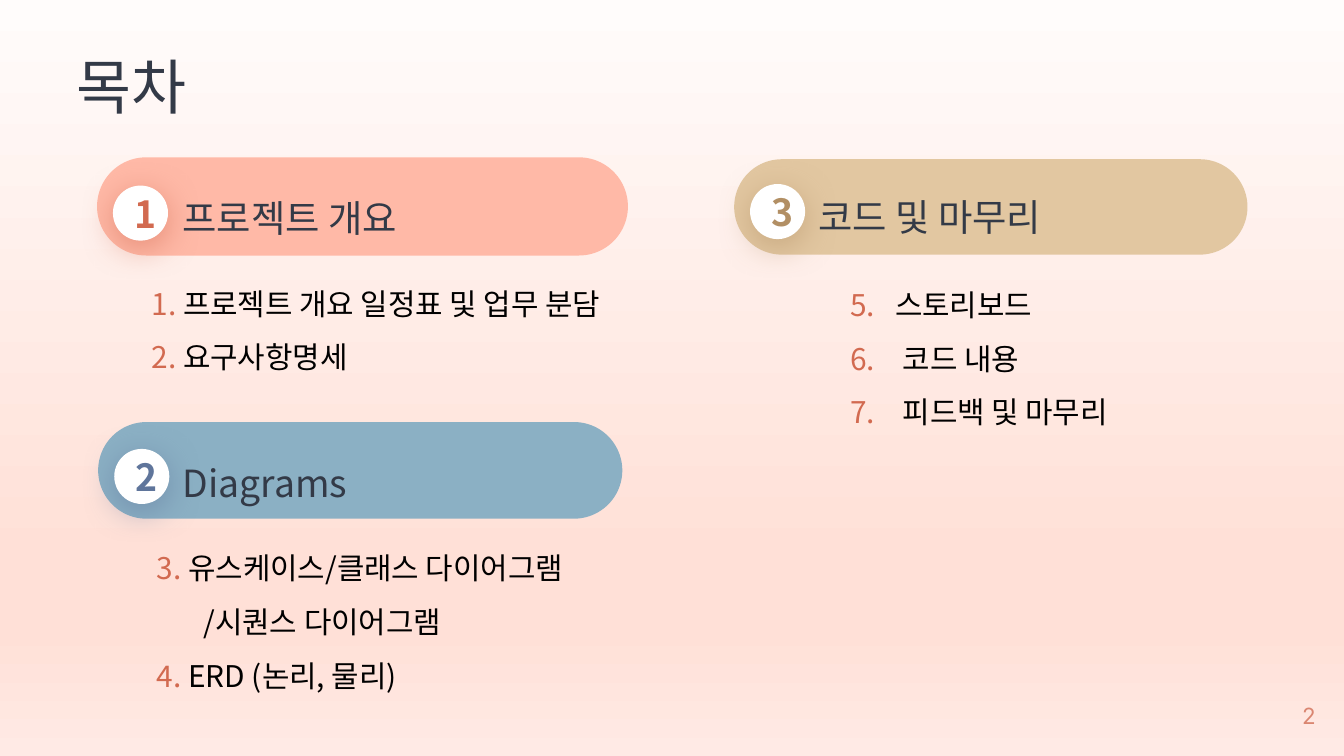
from dataclasses import dataclass
from lxml.etree import SubElement as Sub
from pptx import Presentation
from pptx.dml.color import RGBColor as Rgb
from pptx.enum.shapes import MSO_SHAPE as Kind
from pptx.enum.text import MSO_ANCHOR as Anchor, PP_ALIGN as Align
from pptx.oxml.ns import qn
from pptx.util import Pt


@dataclass(frozen=True)
class Theme:
    font: str = "Noto Sans CJK KR"
    num_font: str = "Inter"
    ink: str = "333A47"
    body: str = "000000"
    mark: str = "D26A50"
    page: str = "DA8671"
    white: str = "FFFFFF"
    back: tuple = ((0, "FFFCFB"), (74, "FFE0D7"), (83, "FFE0D7"), (100, "FFEAE5"))
    title: int = 32
    head: int = 20
    text: int = 16
    small: int = 12


class Deck:
    """Holds the theme, the current slide and the group being filled."""

    def __init__(self, theme):
        self.theme = theme
        self.prs = Presentation()
        self.prs.slide_width, self.prs.slide_height = Pt(720), Pt(405)
        self.slide = self.prs.slides.add_slide(self.prs.slide_layouts[5])
        self.host = self.slide.shapes

    def group(self):
        self.host = self.slide.shapes.add_group_shape().shapes

    def back(self):
        fill = self.slide.background.fill
        fill.gradient()
        fill.gradient_angle = 270
        stops = self.slide.background._cSld.find(".//" + qn("a:gsLst"))
        stops.clear()
        for pos, color in self.theme.back:
            stop = Sub(stops, qn("a:gs"), pos=str(pos * 1000))
            Sub(stop, qn("a:srgbClr"), val=color)

    def style(self, para, size, color=None, bold=False, font=None):
        face = para.font
        face.size, face.bold = Pt(size), bold
        if color:
            face.color.rgb = Rgb.from_string(color)
        face.name = font or self.theme.font
        Sub(face._element, qn("a:ea"), typeface=face.name)

    def frame(self, shape, pad=(0, 0, 0, 0), anchor=Anchor.MIDDLE):
        frame = shape.text_frame
        frame.word_wrap = True
        frame.vertical_anchor = anchor
        (frame.margin_left, frame.margin_top,
         frame.margin_right, frame.margin_bottom) = map(Pt, pad)
        return frame

    def line(self, frame, text, size, color, align=Align.LEFT, gap=1.0, **face):
        para = frame.paragraphs[0]
        para.text, para.alignment, para.line_spacing = text, align, gap
        self.style(para, size, color, **face)

    def title(self, text, *area):
        shape = self.slide.shapes.title
        shape.left, shape.top, shape.width, shape.height = map(Pt, area)
        self.line(self.frame(shape), text, self.theme.title, self.theme.ink,
                  Align.JUSTIFY, 0.9)

    def label(self, text, area, size, color, pad=0, **face):
        box = self.host.add_textbox(*map(Pt, area))
        self.line(self.frame(box, (pad,) * 4), text, size, color, **face)

    def shape(self, kind, area, color):
        shape = self.host.add_shape(kind, *map(Pt, area))
        shape.shadow.inherit = False
        shape.fill.solid()
        shape.fill.fore_color.rgb = Rgb.from_string(color)
        shape.line.fill.background()
        return shape

    def pill(self, area, color):
        self.shape(Kind.ROUNDED_RECTANGLE, area, color).adjustments[0] = 0.5

    def badge(self, text, left, top, color):
        dot = self.shape(Kind.OVAL, (left, top, 29.5, 29.5), self.theme.white)
        glow = Sub(dot._element.spPr.find(qn("a:effectLst")), qn("a:outerShdw"),
                   blurRad=str(Pt(18)), dist=str(Pt(4)), dir="5400000",
                   algn="bl", rotWithShape="0")
        tint = Sub(glow, qn("a:srgbClr"), val=color)
        Sub(tint, qn("a:alpha"), val="55000")
        self.line(self.frame(dot, (5, 0, 0, 0)), text, self.theme.head, color,
                  Align.CENTER, bold=True)

    def items(self, area, rows):
        """Each row is number, text, left margin and hanging indent."""
        box = self.host.add_textbox(*map(Pt, area))
        frame = self.frame(box, (7.2,) * 4, Anchor.TOP)
        for i, (num, text, left, hang) in enumerate(rows):
            para = frame.add_paragraph() if i else frame.paragraphs[0]
            para.line_spacing = 1.5
            props = para._p.get_or_add_pPr()
            props.set("marL", str(Pt(left)))
            props.set("indent", str(Pt(-hang)))
            self.style(para, self.theme.text)
            gap = "\t" if hang else " "
            parts = [(num + gap, self.theme.mark)] if num else []
            for part, color in parts + [(text, self.theme.body)]:
                run = para.add_run()
                run.text = part
                run.font.color.rgb = Rgb.from_string(color)


def main():
    theme = Theme()
    deck = Deck(theme)
    deck.back()
    deck.title("목차", 41, 27.4, 82.8, 41.8)
    deck.label("2", (661.7, 367.9, 43.2, 31), theme.small, theme.page,
               align=Align.RIGHT, font=theme.num_font)
    parts = [
        ("1", "프로젝트 개요", "FFB9A7", "D26A50",
         (52, 84.3, 284.4, 52.6), (60.5, 99.4), (90.7, 99.4), (74.2, 136.1, 284.4, 49),
         [("1.", "프로젝트 개요 일정표 및 업무 분담", 0, 0),
          ("2.", "요구사항명세", 0, 0)]),
        ("3", "코드 및 마무리", "E2C7A1", "B28F64",
         (393.3, 85.3, 275, 51.1), (401.8, 98.6), (431.3, 98.6), (438.5, 136.8, 198, 77),
         [("5.", "스토리보드", 34, 24),
          ("6.", "코드 내용", 38, 28),
          ("7.", "피드백 및 마무리", 38, 28)]),
        ("2", "Diagrams", "8BB0C4", "5F759B",
         (52.6, 226.1, 280.8, 51.8), (61.2, 240.5), (90.7, 241.2), (77, 277.9, 247, 79.2),
         [("3.", "유스케이스/클래스 다이어그램", 0, 0),
          ("", "/시퀀스 다이어그램", 25, 0),
          ("4.", "ERD (논리, 물리)", 0, 0)]),
    ]
    for num, name, fill, tone, pill, dot, head, area, rows in parts:
        deck.group()
        deck.pill(pill, fill)
        deck.badge(num, *dot, tone)
        deck.label(name, (*head, 183.6, 31), theme.head, theme.ink, pad=7.2, gap=1.15)
        deck.items(area, rows)
    deck.prs.save("out.pptx")


if __name__ == "__main__":
    main()
